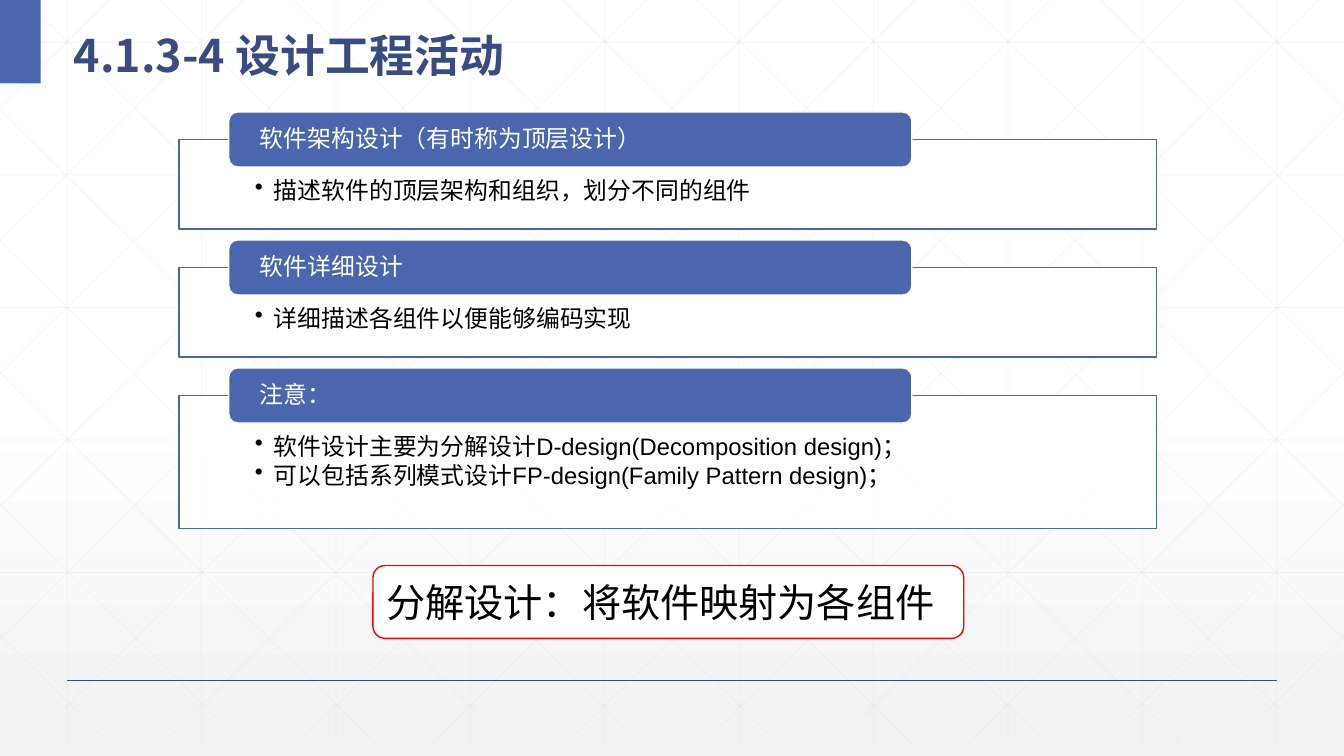
from copy import deepcopy

from lxml.etree import SubElement
from pptx import Presentation
from pptx.dml.color import RGBColor
from pptx.enum.shapes import MSO_CONNECTOR, MSO_SHAPE
from pptx.enum.text import MSO_ANCHOR, MSO_AUTO_SIZE, PP_ALIGN
from pptx.oxml.ns import qn
from pptx.util import Pt

WIDTH, HEIGHT = 960, 540
GRID_BOTTOM = 530.6
GRID_STEP = 96
ROW_STEP = 94.7
RISE_STEP = 93.8
SLOPE = 1.012

WHITE = RGBColor(0xFF, 0xFF, 0xFF)
BLACK = RGBColor(0, 0, 0)
PALE_GREY = RGBColor(0xF2, 0xF2, 0xF2)
GRID_GREY = RGBColor(0xD9, 0xD9, 0xD9)
BLUE = RGBColor(0x4A, 0x66, 0xAC)
NAVY = RGBColor(0x38, 0x4C, 0x81)
RED = RGBColor(0xFF, 0, 0)

CJK_FONT = "Noto Sans CJK SC"
TITLE_FONT = {"name": CJK_FONT, "size": Pt(32), "bold": True}
SECTION_FONT = {"name": "Arial", "size": Pt(17)}
SUMMARY_FONT = {"name": CJK_FONT, "size": Pt(28)}

HEADING_FORMAT = {"line_spacing": 0.9, "space_after": Pt(6), "alignment": PP_ALIGN.LEFT}
BULLET_FORMAT = {"line_spacing": 0.9, "space_after": Pt(2.5), "alignment": PP_ALIGN.LEFT}

SECTIONS = [
    ("软件架构设计（有时称为顶层设计）", ["描述软件的顶层架构和组织，划分不同的组件"], 64),
    ("软件详细设计", ["详细描述各组件以便能够编码实现"], 64),
    ("注意：", [
        "软件设计主要为分解设计D-design(Decomposition design)；",
        "可以包括系列模式设计FP-design(Family Pattern design)；",
    ], 95),
]
SECTION_GAP = 27.4


def apply(target, values):
    for name, value in values.items():
        setattr(target, name, value)


def set_alpha(fill_parent, percent):
    color = fill_parent.find(qn("a:solidFill"))[0]
    SubElement(color, qn("a:alpha"), val=str(percent * 1000))


def add_line(slide, start, end, color, width, alpha=100):
    line = slide.shapes.add_connector(MSO_CONNECTOR.STRAIGHT, *map(Pt, start + end))
    line.line.color.rgb = color
    line.line.width = Pt(width)
    properties = line._element.spPr
    if alpha < 100:
        set_alpha(properties.find(qn("a:ln")), alpha)
    SubElement(properties, qn("a:effectLst"))


def add_box(slide, kind, area, fill, outline=None):
    box = slide.shapes.add_shape(kind, *map(Pt, area))
    box.shadow.inherit = False
    box.fill.solid()
    box.fill.fore_color.rgb = fill
    if outline is None:
        box.line.fill.background()
    else:
        box.line.color.rgb = outline
        box.line.width = Pt(1)
    return box


def set_frame(shape, margins, anchor):
    frame = shape.text_frame
    left, top, right, bottom = map(Pt, margins)
    apply(frame, {
        "word_wrap": True, "auto_size": MSO_AUTO_SIZE.NONE, "vertical_anchor": anchor,
        "margin_left": left, "margin_top": top, "margin_right": right, "margin_bottom": bottom,
    })
    return frame


def write(paragraph, text, font, color, layout):
    run = paragraph.add_run()
    run.text = text
    apply(run.font, font)
    run.font.color.rgb = color
    SubElement(run._r.get_or_add_rPr(), qn("a:ea"), typeface=CJK_FONT)
    apply(paragraph, layout)


def add_bullet(paragraph):
    properties = paragraph._p.get_or_add_pPr()
    apply_indent = {"marL": Pt(13.7), "indent": -Pt(13.7)}
    for name, value in apply_indent.items():
        properties.set(name, str(int(value)))
    SubElement(properties, qn("a:buChar"), char="•")


def set_background(slide):
    fill = slide.background.fill
    fill.gradient()
    fill.gradient_angle = 270
    for stop, color in zip(fill.gradient_stops, (WHITE, PALE_GREY)):
        stop.color.rgb = color
    first = slide._element.cSld.find(".//" + qn("a:gs"))
    middle = deepcopy(first)
    middle.set("pos", "53000")
    first.addnext(middle)


def add_grid(slide):
    lines = []
    for column in range(10):
        x = GRID_STEP * (column + 0.5)
        lines.append(((x, 0), (x, GRID_BOTTOM)))
    for row in range(6):
        y = 30.2 + ROW_STEP * row
        lines.append(((0, y), (WIDTH, y)))
    starts = [(18 + GRID_STEP * k, 0) for k in range(10)]
    starts += [(0, 78.5 + RISE_STEP * k) for k in range(5)]
    for x, y in starts:
        drop = min(GRID_BOTTOM - y, (WIDTH - x) / SLOPE)
        end_x, end_y = x + drop * SLOPE, y + drop
        lines.append(((x, y), (end_x, end_y)))
        lines.append(((WIDTH - x, y), (WIDTH - end_x, end_y)))
    for start, end in lines:
        add_line(slide, start, end, GRID_GREY, 0.5, 25)


def add_title(slide, text):
    title = slide.shapes.title
    apply(title, {"left": Pt(45.4), "top": Pt(7.2), "width": Pt(894), "height": Pt(52.6)})
    frame = set_frame(title, (7.2, 3.6, 7.2, 3.6), MSO_ANCHOR.MIDDLE)
    write(frame.paragraphs[0], text, TITLE_FONT, NAVY,
          {"line_spacing": 1.3, "alignment": PP_ALIGN.LEFT})
    slide.shapes._spTree.append(title._element)


def add_section(slide, top, height, heading, points):
    panel = add_box(slide, MSO_SHAPE.RECTANGLE, (128, top, 698, height), WHITE, BLUE)
    set_alpha(panel._element.spPr, 90)
    frame = set_frame(panel, (54, 28, 54, 9.4), MSO_ANCHOR.TOP)
    for index, point in enumerate(points):
        paragraph = frame.add_paragraph() if index else frame.paragraphs[0]
        add_bullet(paragraph)
        write(paragraph, point, SECTION_FONT, BLACK, BULLET_FORMAT)

    banner = add_box(slide, MSO_SHAPE.ROUNDED_RECTANGLE,
                     (163.4, top - 19.6, 488, 39.4), BLUE, WHITE)
    frame = set_frame(banner, (20.4, 0, 20.4, 0), MSO_ANCHOR.MIDDLE)
    write(frame.paragraphs[0], heading, SECTION_FONT, WHITE, HEADING_FORMAT)


def add_summary(slide, text):
    summary = add_box(slide, MSO_SHAPE.ROUNDED_RECTANGLE, (266.4, 404, 422, 52), WHITE, RED)
    frame = set_frame(summary, (7.2, 3.6, 7.2, 3.6), MSO_ANCHOR.MIDDLE)
    write(frame.paragraphs[0], text, SUMMARY_FONT, BLACK, {"alignment": PP_ALIGN.LEFT})


def main():
    deck = Presentation()
    deck.slide_width, deck.slide_height = Pt(WIDTH), Pt(HEIGHT)
    slide = deck.slides.add_slide(deck.slide_layouts[5])
    set_background(slide)
    add_grid(slide)
    add_line(slide, (48, 486), (912, 486), NAVY, 1)
    add_box(slide, MSO_SHAPE.RECTANGLE, (0, 0, 29, 59.5), BLUE)
    add_title(slide, "4.1.3-4 设计工程活动")
    add_summary(slide, "分解设计：将软件映射为各组件")
    top = 99.6
    for heading, points, height in SECTIONS:
        add_section(slide, top, height, heading, points)
        top += height + SECTION_GAP
    deck.save("out.pptx")


if __name__ == "__main__":
    main()
